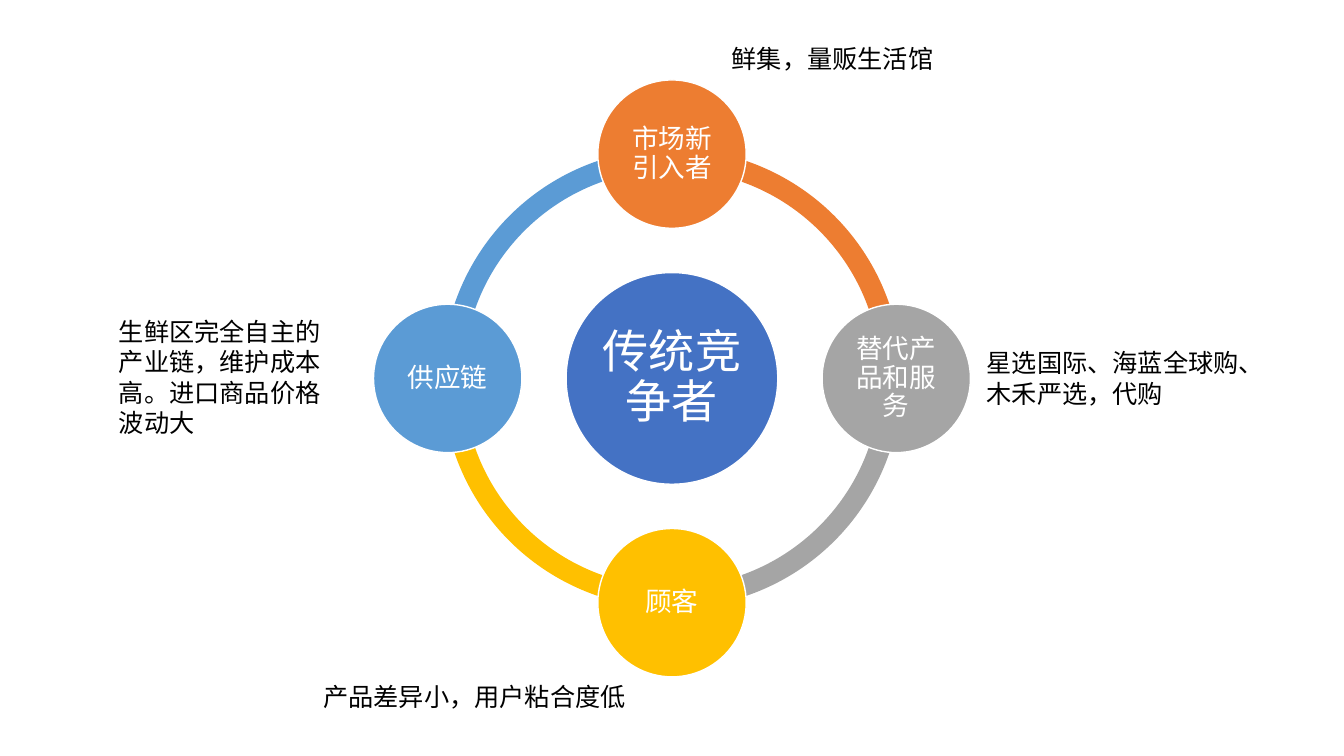
import math

import pptx
import pptx.dml.color
import pptx.enum.shapes
import pptx.enum.text
import pptx.oxml.ns
import pptx.util
from lxml import etree

Pt = pptx.util.Pt
RGBColor = pptx.dml.color.RGBColor
SHAPES = pptx.enum.shapes.MSO_SHAPE
ALIGN = pptx.enum.text.PP_ALIGN

WHITE = RGBColor(0xFF, 0xFF, 0xFF)
BLACK = RGBColor(0x00, 0x00, 0x00)
INDIGO = RGBColor(0x44, 0x72, 0xC4)
ORANGE = RGBColor(0xED, 0x7D, 0x31)
GRAY = RGBColor(0xA5, 0xA5, 0xA5)
GOLD = RGBColor(0xFF, 0xC0, 0x00)
BLUE = RGBColor(0x5B, 0x9B, 0xD5)

CENTER_X, CENTER_Y = 480, 270.3
RING_SIZE, RING_BAND = 328.3, 0.046
HUB_SIZE, NODE_SIZE = 151.2, 106
ORBIT = 160.2


class ForcesSlide:
    font = "Noto Sans CJK SC"

    def __init__(self, slide):
        self.slide = slide

    def add_text(self, paragraph, text, size, color):
        run = paragraph.add_run()
        run.text = text
        run.font.size = Pt(size)
        run.font.color.rgb = color
        run.font.name = self.font
        east_asian = etree.SubElement(run.font._element, pptx.oxml.ns.qn("a:ea"))
        east_asian.set("typeface", self.font)

    def centered_shape(self, kind, x, y, size, color):
        shape = self.slide.shapes.add_shape(
            kind, Pt(x - size / 2), Pt(y - size / 2), Pt(size), Pt(size))
        shape.shadow.inherit = False
        shape.fill.solid()
        shape.fill.fore_color.rgb = color
        return shape

    def arc(self, start, color):
        """Draw a quarter of the ring, clockwise from start in degrees."""
        quarter = self.centered_shape(SHAPES.BLOCK_ARC, CENTER_X, CENTER_Y, RING_SIZE, color)
        quarter.line.fill.background()
        # Angles are stored in 60000ths of a degree, adjustments in 100000ths
        quarter.adjustments[0] = start * 0.6
        quarter.adjustments[1] = (start + 90) % 360 * 0.6
        quarter.adjustments[2] = RING_BAND

    def circle(self, text, x, y, size, color, text_size, inset):
        disc = self.centered_shape(SHAPES.OVAL, x, y, size, color)
        disc.line.color.rgb = WHITE
        disc.line.width = Pt(1)
        frame = disc.text_frame
        frame.word_wrap = True
        frame.vertical_anchor = pptx.enum.text.MSO_ANCHOR.MIDDLE
        frame.margin_left = frame.margin_right = Pt(inset)
        frame.margin_top = frame.margin_bottom = Pt(inset)
        paragraph = frame.paragraphs[0]
        paragraph.alignment = ALIGN.CENTER
        paragraph.line_spacing = 0.9
        self.add_text(paragraph, text, text_size, WHITE)

    def note(self, text, left, top, width, height, wrap):
        frame = self.slide.shapes.add_textbox(
            Pt(left), Pt(top), Pt(width), Pt(height)).text_frame
        frame.word_wrap = wrap
        frame.auto_size = pptx.enum.text.MSO_AUTO_SIZE.SHAPE_TO_FIT_TEXT
        self.add_text(frame.paragraphs[0], text, 18, BLACK)


def main():
    deck = pptx.Presentation()
    deck.slide_width, deck.slide_height = Pt(960), Pt(540)
    forces = ForcesSlide(deck.slides.add_slide(deck.slide_layouts[6]))

    # Clockwise from the top
    outer_forces = [
        ("市场新引入者", 270, ORANGE),
        ("替代产品和服务", 0, GRAY),
        ("顾客", 90, GOLD),
        ("供应链", 180, BLUE),
    ]
    for _, angle, color in reversed(outer_forces):
        forces.arc(angle, color)
    forces.circle("传统竞争者", CENTER_X, CENTER_Y, HUB_SIZE, INDIGO, 33, 3.3)
    for force, angle, color in outer_forces:
        x = CENTER_X + ORBIT * math.cos(math.radians(angle))
        y = CENTER_Y + ORBIT * math.sin(math.radians(angle))
        forces.circle(force, x, y, NODE_SIZE, color, 19, 1.9)

    forces.note("鲜集，量贩生活馆", 515.5, 27.4, 159.8, 29, False)
    forces.note("星选国际、海蓝全球购、木禾严选，代购", 697.7, 244.8, 204.5, 51, True)
    forces.note("产品差异小，用户粘合度低", 223.9, 483.1, 232.6, 29, False)
    forces.note("生鲜区完全自主的产业链，维护成本高。进口商品价格波动大",
                77.8, 222.5, 164.2, 94.3, True)

    deck.save("out.pptx")


if __name__ == "__main__":
    main()
